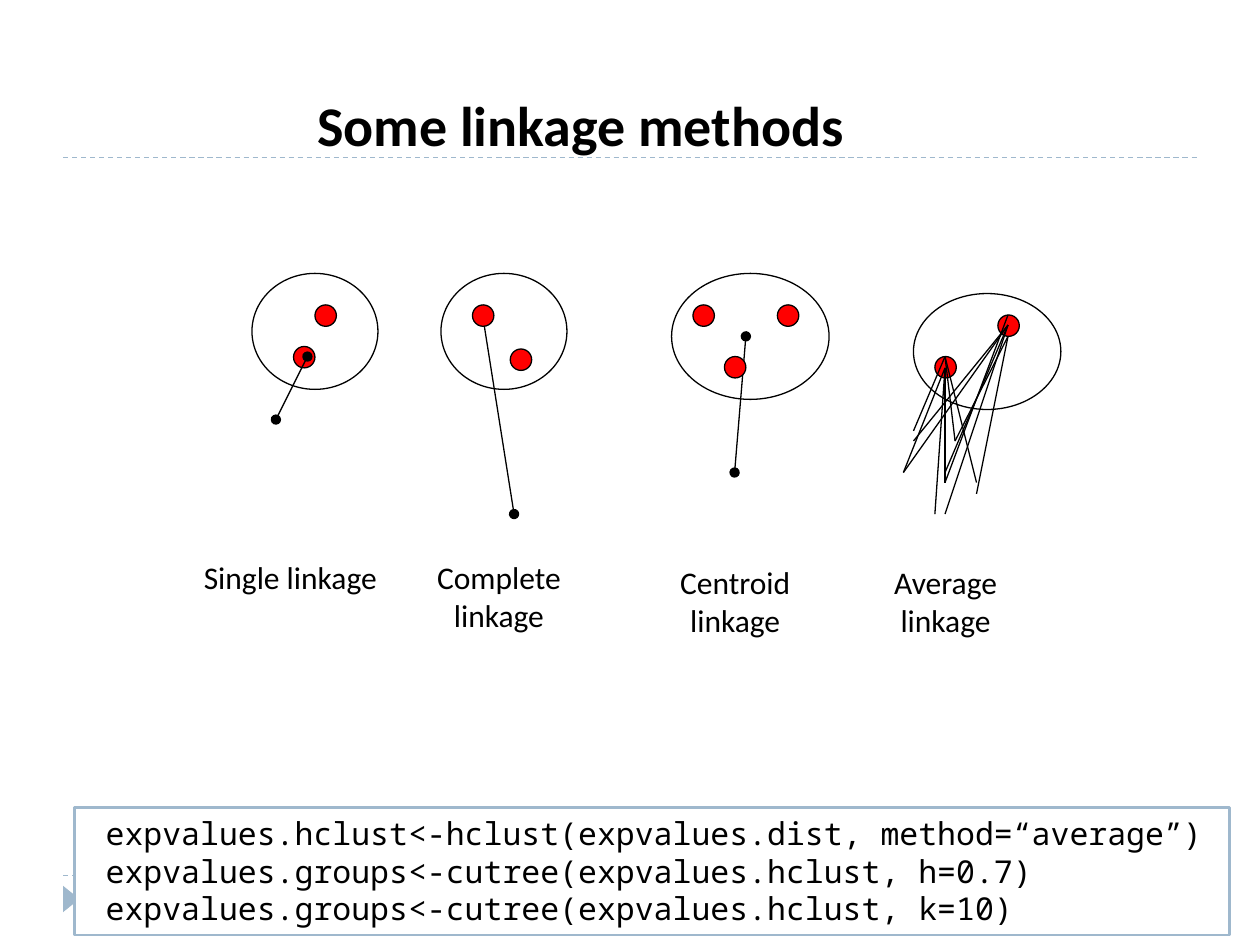
from lxml import etree
from pptx import Presentation
from pptx.dml.color import RGBColor
from pptx.enum.dml import MSO_LINE_DASH_STYLE as Dash
from pptx.enum.shapes import MSO_CONNECTOR as Connector, MSO_SHAPE as Shape
from pptx.enum.text import MSO_ANCHOR as Anchor, PP_ALIGN as Align
from pptx.oxml.ns import qn
from pptx.util import Inches, Pt

COLORS = {"ink": "000000", "point": "FF0000", "accent": "9FB8CD", "paper": "FFFFFF"}
POINT_SIZE = 0.17

LABEL = {"name": "Calibri", "size": Pt(18), "bold": False}
TITLE = {"name": "Calibri", "size": Pt(32), "bold": True}
CODE = {"name": "Noto Sans Mono", "size": Pt(18), "bold": False}

# left, top, width, height
CLUSTERS = [(2, 2.17, 1, 0.92), (3.5, 2.17, 1, 0.92),
            (5.33, 2.17, 1.25, 1), (7.25, 2.33, 1.17, 0.92)]
# left, top
POINTS = [(2.5, 2.42), (2.33, 2.75), (3.75, 2.42), (4.05, 2.77), (5.5, 2.42),
          (6.17, 2.42), (5.75, 2.83), (7.42, 2.83), (7.92, 2.5)]
SINGLE_LINK = ((2.19, 3.33), (2.44, 2.83))
COMPLETE_LINK = ((4.08, 4.08), (3.83, 2.5))
CENTROID_LINK = ((5.83, 3.75), (5.92, 2.67))
# start of the lines from each point, with their far ends
AVERAGE_LINKS = [
    ((7.5, 2.92), [(7.42, 4.08), (7.5, 3.83), (7.17, 3.75)]),
    ((7.5, 2.83), [(7.25, 3.42), (7.58, 3.5), (7.75, 3.83)]),
    ((8, 2.58), [(7.25, 3.5), (7.17, 3.75), (7.5, 3.75), (7.5, 4.08)]),
    ((8, 2.5), [(7.5, 3.83)]),
    ((8, 2.67), [(7.58, 3.5), (7.75, 3.92)]),
]
LABELS = [("Single linkage", 1.47, 4.38, 1.67), ("Complete linkage", 3, 4.38, 1.92),
          ("Centroid linkage", 5, 4.42, 1.67), ("Average linkage", 6.67, 4.42, 1.67)]
CODE_LINES = [
    " expvalues.hclust<-hclust(expvalues.dist, method=“average”)",
    " expvalues.groups<-cutree(expvalues.hclust, h=0.7)",
    " expvalues.groups<-cutree(expvalues.hclust, k=10)",
]


def color(name):
    return RGBColor.from_string(COLORS[name])


def add_line(slide, start, end, ink="ink", dash=None, round_ends=False):
    line = slide.shapes.add_connector(
        Connector.STRAIGHT, *(Inches(value) for value in (*start, *end)))
    line.line.color.rgb = color(ink)
    line.line.width = Pt(0.75)
    if dash:
        line.line.dash_style = dash
    if round_ends:
        outline = line.line._get_or_add_ln()
        for tag in ("a:headEnd", "a:tailEnd"):
            etree.SubElement(outline, qn(tag), type="oval")
    etree.SubElement(line._element.spPr, qn("a:effectLst"))


def add_shape(slide, preset, box, fill=None, ink=None, width=0.75):
    shape = slide.shapes.add_shape(preset, *map(Inches, box))
    shape.shadow.inherit = False
    if fill:
        shape.fill.solid()
        shape.fill.fore_color.rgb = color(fill)
    else:
        shape.fill.background()
    if ink:
        shape.line.color.rgb = color(ink)
        shape.line.width = Pt(width)
    else:
        shape.line.fill.background()
    return shape


def write_text(shape, lines, font, align=Align.LEFT, wrap=True):
    frame = shape.text_frame
    frame.word_wrap = wrap
    frame.vertical_anchor = Anchor.TOP
    frame.text = "\n".join(lines)
    for paragraph in frame.paragraphs:
        paragraph.alignment = align
        paragraph.font.color.rgb = color("ink")
        for key, value in font.items():
            setattr(paragraph.font, key, value)


def add_text(slide, box, text, font, align=Align.LEFT):
    write_text(slide.shapes.add_textbox(*map(Inches, box)), [text], font, align)


def add_frame(slide):
    """Dashed rules and the small footer marker."""
    for y in (1.25, 6.95):
        add_line(slide, (0.5, y), (9.5, y), "accent", Dash.DASH)
    marker = add_shape(slide, Shape.ISOSCELES_TRIANGLE, (0.46, 7.07, 0.21, 0.13), "accent")
    marker.rotation = 90


def add_clusters(slide):
    # The points cover the upper ends of these two links.
    for link in (COMPLETE_LINK, CENTROID_LINK):
        add_line(slide, *link, round_ends=True)
    for left, top in POINTS:
        add_shape(slide, Shape.OVAL, (left, top, POINT_SIZE, POINT_SIZE), "point", "ink")
    add_line(slide, *SINGLE_LINK, round_ends=True)
    for start, ends in AVERAGE_LINKS:
        for end in ends:
            add_line(slide, start, end)
    for box in CLUSTERS:
        add_shape(slide, Shape.OVAL, box, ink="ink")


def main():
    presentation = Presentation()
    presentation.slide_width = Inches(10)
    presentation.slide_height = Inches(7.5)
    slide = presentation.slides.add_slide(presentation.slide_layouts[6])

    add_frame(slide)
    add_text(slide, (2.42, 0.67, 5.17, 0.63), "Some linkage methods", TITLE)
    add_clusters(slide)
    for text, left, top, width in LABELS:
        add_text(slide, (left, top, width, 0.7), text, LABEL, Align.CENTER)
    code_box = add_shape(slide, Shape.RECTANGLE, (0.59, 6.41, 9.17, 1.01),
                         "paper", "accent", 1.5)
    write_text(code_box, CODE_LINES, CODE, wrap=False)

    presentation.save("out.pptx")


if __name__ == "__main__":
    main()
